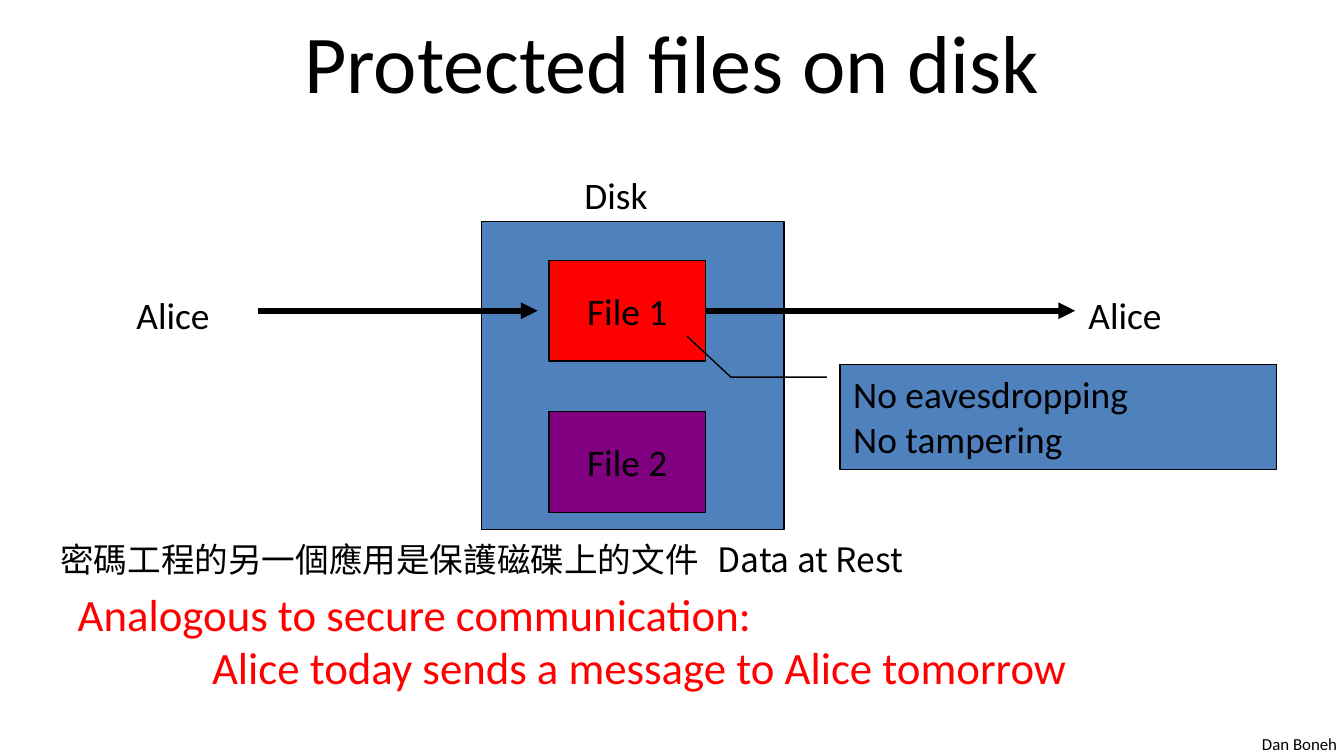
from lxml import etree
from pptx import Presentation
from pptx.dml.color import RGBColor
from pptx.enum.shapes import MSO_CONNECTOR, MSO_SHAPE
from pptx.enum.text import MSO_ANCHOR, PP_ALIGN
from pptx.oxml.ns import qn
from pptx.util import Inches, Pt

RECTANGLE, CALLOUT = MSO_SHAPE.RECTANGLE, MSO_SHAPE.LINE_CALLOUT_2
STRAIGHT = MSO_CONNECTOR.STRAIGHT
LEFT, CENTER = PP_ALIGN.LEFT, PP_ALIGN.CENTER
TOP, MIDDLE = MSO_ANCHOR.TOP, MSO_ANCHOR.MIDDLE
THEME = {
    "font": "Calibri", "chinese font": "Noto Sans CJK SC",
    "black": RGBColor(0, 0, 0), "blue": RGBColor(0x4F, 0x81, 0xBD),
    "red": RGBColor(0xFF, 0, 0), "purple": RGBColor(0x80, 0, 0x80),
    "title": Pt(44), "statement": Pt(24), "label": Pt(20),
    "note": Pt(18), "credit": Pt(9), "outline": Pt(0.75), "arrow": Pt(3),
}

presentation = Presentation()
presentation.slide_width, presentation.slide_height = Inches(10), Inches(5.625)
slide = presentation.slides.add_slide(presentation.slide_layouts[5])
shapes = slide.shapes
UNIT = presentation.slide_width / 120


def grid(*cells):
    """Turn grid cells (120 to the slide's width) into lengths."""
    return [round(cell * UNIT) for cell in cells]


def write(shape, lines, size="label", color="black", font="font",
          align=LEFT, anchor=TOP, wrap=True):
    frame = shape.text_frame
    frame.text = "\n".join(lines)
    frame.word_wrap = wrap
    frame.vertical_anchor = anchor
    for paragraph in frame.paragraphs:
        paragraph.alignment = align
        paragraph.font.name = THEME[font]
        paragraph.font.size = THEME[size]
        paragraph.font.color.rgb = THEME[color]
    return frame


# Title and credit
title = shapes.title
title.left, title.top, title.width, title.height = grid(6, -0.25, 108, 11.25)
write(title, ["Protected files on disk"], "title", align=CENTER, anchor=MIDDLE)
credit = shapes.add_textbox(*grid(111.5, 64.9, 9.1, 3))
write(credit, ["Dan Boneh"], "credit", wrap=False)

# Disk with its files, and the callout on the first file
callout_lines = ["No eavesdropping", "No tampering"]
for kind, cells, fill, lines, align, anchor in [
    (RECTANGLE, (43, 19.8, 27, 27.5), "blue", [], CENTER, MIDDLE),
    (RECTANGLE, (49, 23.25, 14, 9), "red", ["File 1"], CENTER, MIDDLE),
    (RECTANGLE, (49, 36.75, 14, 9), "purple", ["File 2"], CENTER, MIDDLE),
    (CALLOUT, (75, 32.55, 39, 9.35), "blue", callout_lines, LEFT, TOP),
]:
    box = shapes.add_shape(kind, *grid(*cells))
    box.shadow.inherit = False
    box.fill.solid()
    box.fill.fore_color.rgb = THEME[fill]
    box.line.color.rgb = THEME["black"]
    box.line.width = THEME["outline"]
    if lines:
        write(box, lines, align=align, anchor=anchor, wrap=kind == CALLOUT)
    if kind == CALLOUT:
        for index, value in enumerate([0.12, -0.03, 0.12, -0.25, -0.27, -0.35]):
            box.adjustments[index] = value

# Alice writes to the disk and reads from it
for start, end in [(23, 48), (63, 96)]:
    arrow = shapes.add_connector(STRAIGHT, *grid(start, 27.75, end, 27.75))
    arrow.line.color.rgb = THEME["black"]
    arrow.line.width = THEME["arrow"]
    properties = arrow._element.spPr
    etree.SubElement(properties.find(qn("a:ln")), qn("a:tailEnd"), type="triangle")
    etree.SubElement(properties, qn("a:effectLst"))

for text, cells in [
    ("Disk", (51, 14.8, 10.3, 5.25)),
    ("Alice", (11, 25.5, 11.2, 5.25)),
    ("Alice", (96, 25.5, 11.2, 5.25)),
]:
    write(shapes.add_textbox(*grid(*cells)), [text])

# Explanation
statement = write(
    shapes.add_textbox(*grid(5.75, 51.75, 111.35, 10.9)),
    ["Analogous to secure communication:",
     "Alice today sends a message to Alice tomorrow"], "statement", "red")
statement.paragraphs[1]._p.get_or_add_pPr().set("marL", str(Inches(1)))

note = shapes.add_textbox(*grid(4.2, 47.5, 89.9, 4.85))
frame = write(note, ["密碼工程的另一個應用是保護磁碟上的文件\tData at Rest"],
              "note", font="chinese font")
paragraph_properties = frame.paragraphs[0]._p.get_or_add_pPr()
tabs = etree.Element(qn("a:tabLst"))
etree.SubElement(tabs, qn("a:tab"), pos=str(Inches(4.89)), algn="l")
paragraph_properties.insert(0, tabs)
default_font = paragraph_properties.find(qn("a:defRPr"))
etree.SubElement(default_font, qn("a:ea"), typeface=THEME["chinese font"])

presentation.save("out.pptx")
